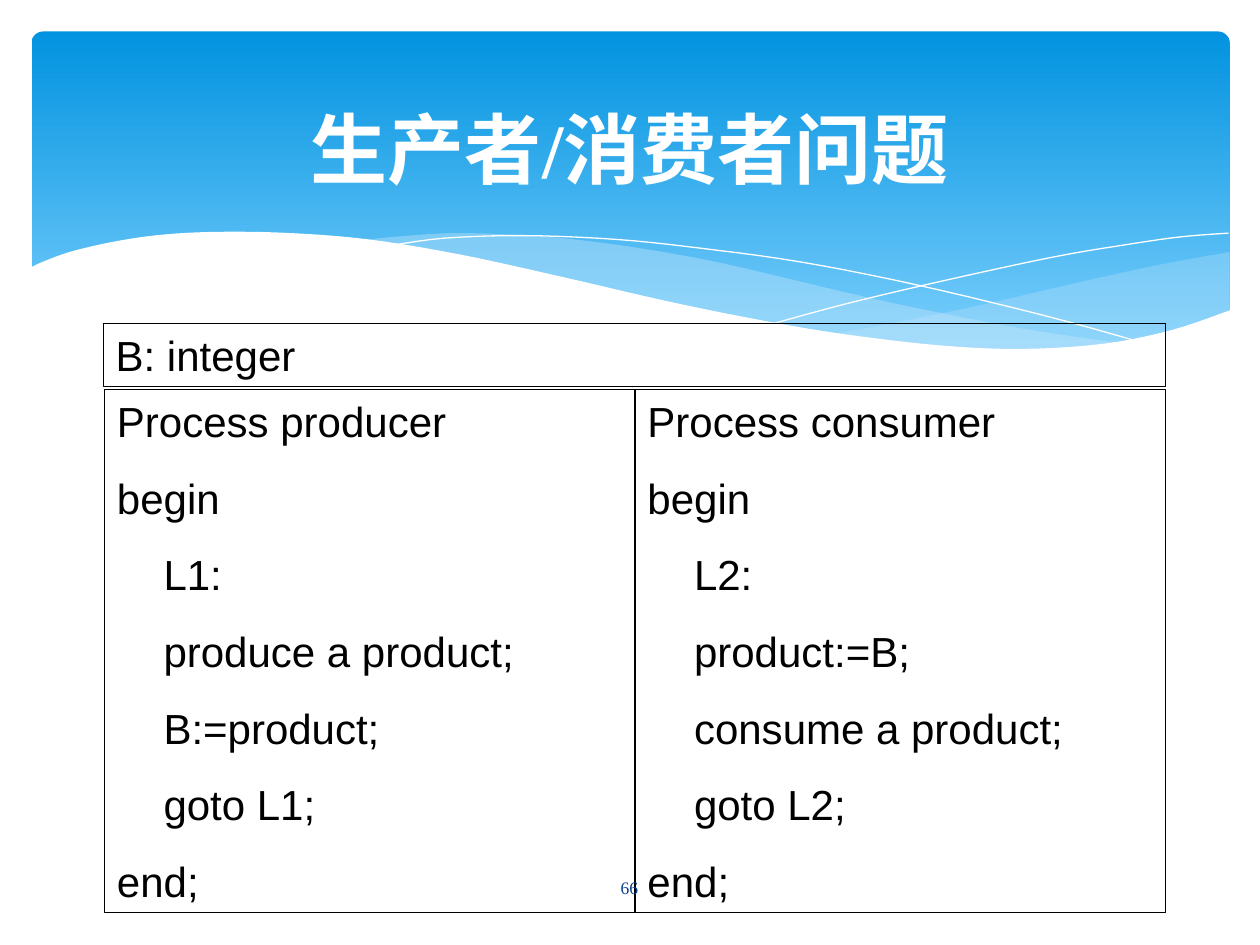
from lxml import etree
from pptx import Presentation
from pptx import util as u
from pptx.dml.color import RGBColor
from pptx.enum import shapes, text
from pptx.oxml.ns import qn

COLORS = {"sky_top": "0293E0", "sky_bottom": "83D3FE", "mist": "C6E7FC",
          "white": "FFFFFF", "black": "000000", "number": "073E87"}
MARGINS = {"margin_left": 0.1, "margin_right": 0.1, "margin_top": 0.05, "margin_bottom": 0.05}

RIGHT_BAND = [
    [(9.76, 2), (9.21, 2.1), (8.61, 2.23), (7.79, 2.42), (7.06, 2.57), (6.61, 2.65)],
    [(6.61, 2.65), (7.18, 2.73), (7.69, 2.77), (8.14, 2.78), (8.63, 2.75), (9.13, 2.67),
     (9.49, 2.57), (9.76, 2.47)]]
LONG_BAND = [
    [(8.93, 2.73), (8.07, 2.6), (7.06, 2.4), (6.29, 2.22), (5.69, 2.08), (5.14, 1.98),
     (4.64, 1.91), (4.2, 1.87), (3.61, 1.85), (3.13, 1.88), (2.86, 1.91)],
    [(2.86, 1.91), (3.42, 1.99), (4.04, 2.11), (4.91, 2.32), (5.66, 2.48), (6.34, 2.61),
     (6.95, 2.7), (7.48, 2.76), (8.07, 2.79), (8.57, 2.77), (8.93, 2.73)]]
FALLING_LINE = [
    [(3.09, 1.95), (3.53, 1.89), (4.16, 1.87), (4.89, 1.9), (5.56, 1.97), (6.36, 2.08),
     (7.27, 2.26), (8.31, 2.51), (9.07, 2.72)]]
RISING_LINE = [
    [(6.13, 2.57), (6.72, 2.41), (7.48, 2.23), (8.36, 2.04), (8.95, 1.94), (9.37, 1.88),
     (9.75, 1.85)]]
WHITE_WAVE = [
    [(9.77, 2.46), (9.3, 2.62), (8.75, 2.73), (8.09, 2.77), (7.44, 2.74), (6.68, 2.65),
     (6.03, 2.54), (5.29, 2.39), (4.47, 2.2), (3.65, 2.02), (2.92, 1.9), (2.3, 1.85),
     (1.76, 1.84), (1.32, 1.86), (0.95, 1.91), (0.59, 1.99), (0.36, 2.07), (0.23, 2.13)],
    [(0.23, 3.29), (9.77, 3.29)]]

PRODUCER = ["Process producer", "begin", "    L1:", "    produce a product;",
            "    B:=product;", "    goto L1;", "end;"]
CONSUMER = ["Process consumer", "begin", "    L2:", "    product:=B;",
            "    consume a product;", "    goto L2;", "end;"]


def rgb(name):
    """Return the named colour."""
    return RGBColor.from_string(COLORS[name])


def smooth_curve(anchors, steps=5):
    """Return points on a Catmull-Rom curve through the anchors."""
    padded = [anchors[0], *anchors, anchors[-1]]
    points = [anchors[0]]
    for before, start, end, after in zip(padded, padded[1:], padded[2:], padded[3:]):
        for step in range(1, steps + 1):
            t = step / steps
            points.append(tuple(
                (2 * b + (c - a) * t + (2 * a - 5 * b + 4 * c - d) * t ** 2
                 + (3 * b - a - 3 * c + d) * t ** 3) / 2
                for a, b, c, d in zip(before, start, end, after)))
    return points


def add_wave(slide, curves, color, alpha=None, closed=True):
    """Draw a filled band, or a hairline when not closed."""
    points = [(u.Inches(x), u.Inches(y)) for curve in curves for x, y in smooth_curve(curve)]
    builder = slide.shapes.build_freeform(*points[0])
    builder.add_line_segments(points[1:], close=closed)
    wave = builder.convert_to_shape()
    wave.shadow.inherit = False
    if not closed:
        wave.fill.background()
        wave.line.color.rgb = rgb(color)
        wave.line.width = u.Pt(0)
        return
    wave.line.fill.background()
    wave.fill.solid()
    wave.fill.fore_color.rgb = rgb(color)
    if alpha:
        tint = wave._element.spPr.find(qn("a:solidFill")).find(qn("a:srgbClr"))
        etree.SubElement(tint, qn("a:alpha")).set("val", str(alpha * 1000))


def add_sky(slide):
    """Draw the rounded gradient panel behind the title."""
    sky = slide.shapes.add_shape(shapes.MSO_SHAPE.ROUNDED_RECTANGLE,
                                 *map(u.Inches, (0.25, 0.25, 9.51, 2.7)))
    sky.adjustments[0] = 0.034
    sky.shadow.inherit = False
    sky.line.fill.background()
    sky.fill.gradient()
    sky.fill.gradient_angle = 270
    for stop, name in zip(sky.fill.gradient_stops, ("sky_top", "sky_bottom")):
        stop.color.rgb = rgb(name)


def write_lines(frame, lines, color, font, paragraph_format, anchor):
    """Fill a text frame with one paragraph per line."""
    frame.word_wrap = True
    frame.vertical_anchor = anchor
    for side, inches in MARGINS.items():
        setattr(frame, side, u.Inches(inches))
    for index, line in enumerate(lines):
        paragraph = frame.add_paragraph() if index else frame.paragraphs[0]
        paragraph.text = line
        for name, value in paragraph_format.items():
            if index or name != "space_before":
                setattr(paragraph, name, value)
        for name, value in font.items():
            setattr(paragraph.font, name, value)
        paragraph.font.color.rgb = rgb(color)


def add_label(slide, place, words, color, **font):
    """Add centred Times New Roman text."""
    label = slide.shapes.add_textbox(*map(u.Inches, place))
    write_lines(label.text_frame, [words], color, {"name": "Times New Roman", **font},
                {"alignment": text.PP_ALIGN.CENTER}, text.MSO_ANCHOR.MIDDLE)


def add_code_box(slide, place, lines):
    """Add an outlined box of pseudocode."""
    box = slide.shapes.add_shape(shapes.MSO_SHAPE.RECTANGLE, *map(u.Inches, place))
    box.shadow.inherit = False
    box.fill.background()
    box.line.color.rgb = rgb("black")
    box.line.width = u.Pt(0.75)
    write_lines(box.text_frame, lines, "black", {"name": "Arial", "size": u.Pt(24)},
                {"alignment": text.PP_ALIGN.LEFT, "space_before": u.Pt(15),
                 "line_spacing": u.Pt(28.8)}, text.MSO_ANCHOR.TOP)
    box.text_frame.auto_size = text.MSO_AUTO_SIZE.SHAPE_TO_FIT_TEXT


def main():
    """Build the producer and consumer slide."""
    deck = Presentation()
    deck.slide_width, deck.slide_height = u.Inches(10), u.Inches(7.5)
    slide = deck.slides.add_slide(deck.slide_layouts[6])
    add_sky(slide)
    add_wave(slide, RIGHT_BAND, "mist", alpha=29)
    add_wave(slide, LONG_BAND, "mist", alpha=40)
    add_wave(slide, FALLING_LINE, "white", closed=False)
    add_wave(slide, RISING_LINE, "white", closed=False)
    add_wave(slide, WHITE_WAVE, "white")
    add_label(slide, (0.5, 0.6, 9, 1.14), "生产者/消费者问题", "white", size=u.Pt(44), bold=True)
    column_width = 4.21
    for column, process in enumerate((PRODUCER, CONSUMER)):
        add_code_box(slide, (0.83 + column * column_width, 3.09, column_width, 4.15), process)
    add_code_box(slide, (0.82, 2.57, 8.43, 0.5), ["B: integer"])
    add_label(slide, (4.36, 6.84, 1.27, 0.4), "66", "number", size=u.Pt(10))
    deck.save("out.pptx")


if __name__ == "__main__":
    main()
